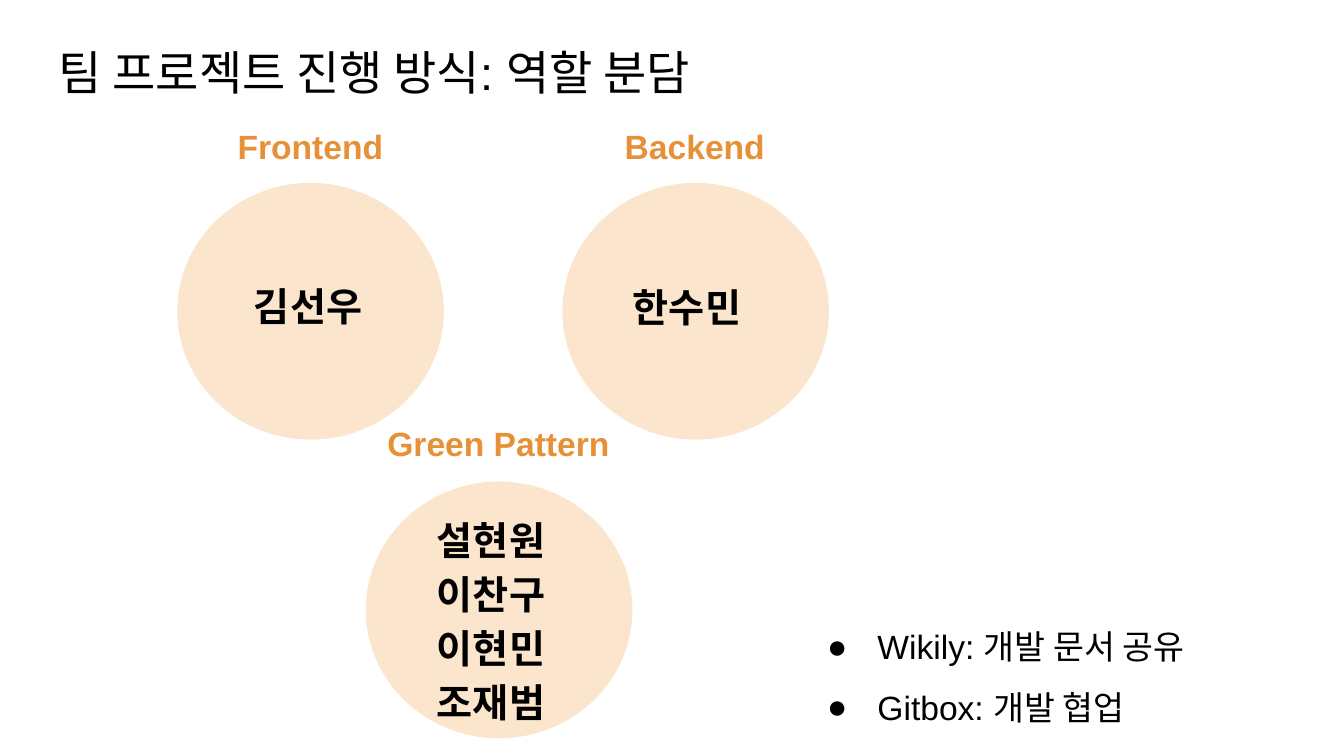
"""Build the team role assignment slide."""
from lxml import etree
from pptx import Presentation
from pptx.dml.color import RGBColor
from pptx.enum.shapes import MSO_SHAPE
from pptx.enum.text import PP_ALIGN
from pptx.oxml.ns import qn
from pptx.util import Pt

OVAL = MSO_SHAPE.OVAL
LEFT = PP_ALIGN.LEFT
CENTER = PP_ALIGN.CENTER
FONT = "Arial"
COLORS = {"circle": "FCE5CD", "heading": "E69138", "text": "000000"}


def add_text(slide, box, lines, size, color="text", bold=False, align=LEFT, spacing=1.0):
    shape = slide.shapes.add_textbox(*[Pt(length) for length in box])
    frame = shape.text_frame
    frame.word_wrap = True
    frame.margin_left = frame.margin_right = Pt(7.2)
    frame.margin_top = frame.margin_bottom = Pt(7.2)
    for index, line in enumerate(lines):
        paragraph = frame.add_paragraph() if index else frame.paragraphs[0]
        paragraph.alignment = align
        paragraph.line_spacing = spacing
        run = paragraph.add_run()
        run.text = line
        run.font.name = FONT
        run.font.size = Pt(size)
        run.font.bold = bold
        run.font.color.rgb = RGBColor.from_string(COLORS[color])
    return frame


presentation = Presentation()
presentation.slide_width = Pt(720)
presentation.slide_height = Pt(405)
slide = presentation.slides.add_slide(presentation.slide_layouts[6])

add_text(slide, (24.5, 16, 671, 45), ["팀 프로젝트 진행 방식: 역할 분담"], 25.2)

roles = [
    ("Green Pattern", (196, 258), (186, 219.6, 162, 45),
     ["설현원", "이찬구", "이현민", "조재범"], (227, 265.7, 81, 122), 1.15),
    ("Backend", (301.3, 98), (306.7, 60.5, 131, 33),
     ["한수민"], (332, 144.7, 88, 37), 1.0),
    ("Frontend", (95, 98), (100.8, 60.5, 131, 33),
     ["김선우"], (129, 144, 88, 37), 1.0),
]
for heading, (left, top), heading_box, members, member_box, spacing in roles:
    circle = slide.shapes.add_shape(OVAL, Pt(left), Pt(top), Pt(142.8), Pt(137.5))
    circle.shadow.inherit = False
    circle.fill.solid()
    circle.fill.fore_color.rgb = RGBColor.from_string(COLORS["circle"])
    circle.line.fill.background()

for heading, corner, heading_box, members, member_box, spacing in roles:
    add_text(slide, heading_box, [heading], 18, "heading", True, CENTER)
    add_text(slide, member_box, members, 21, bold=True, spacing=spacing)

tools = ["Wikily: 개발 문서 공유", "Gitbox: 개발 협업"]
tool_frame = add_text(slide, (427, 317.5, 268.5, 71), tools, 18, spacing=1.5)
for paragraph in tool_frame.paragraphs:
    properties = paragraph._p.get_or_add_pPr()
    properties.set("marL", str(Pt(36)))
    properties.set("indent", str(-Pt(27)))
    bullet_color = etree.SubElement(properties, qn("a:buClr"))
    etree.SubElement(bullet_color, qn("a:srgbClr"), val=COLORS["text"])
    etree.SubElement(properties, qn("a:buSzPts"), val="1800")
    etree.SubElement(properties, qn("a:buFont"), typeface=FONT)
    etree.SubElement(properties, qn("a:buChar"), char="●")

presentation.save("out.pptx")
